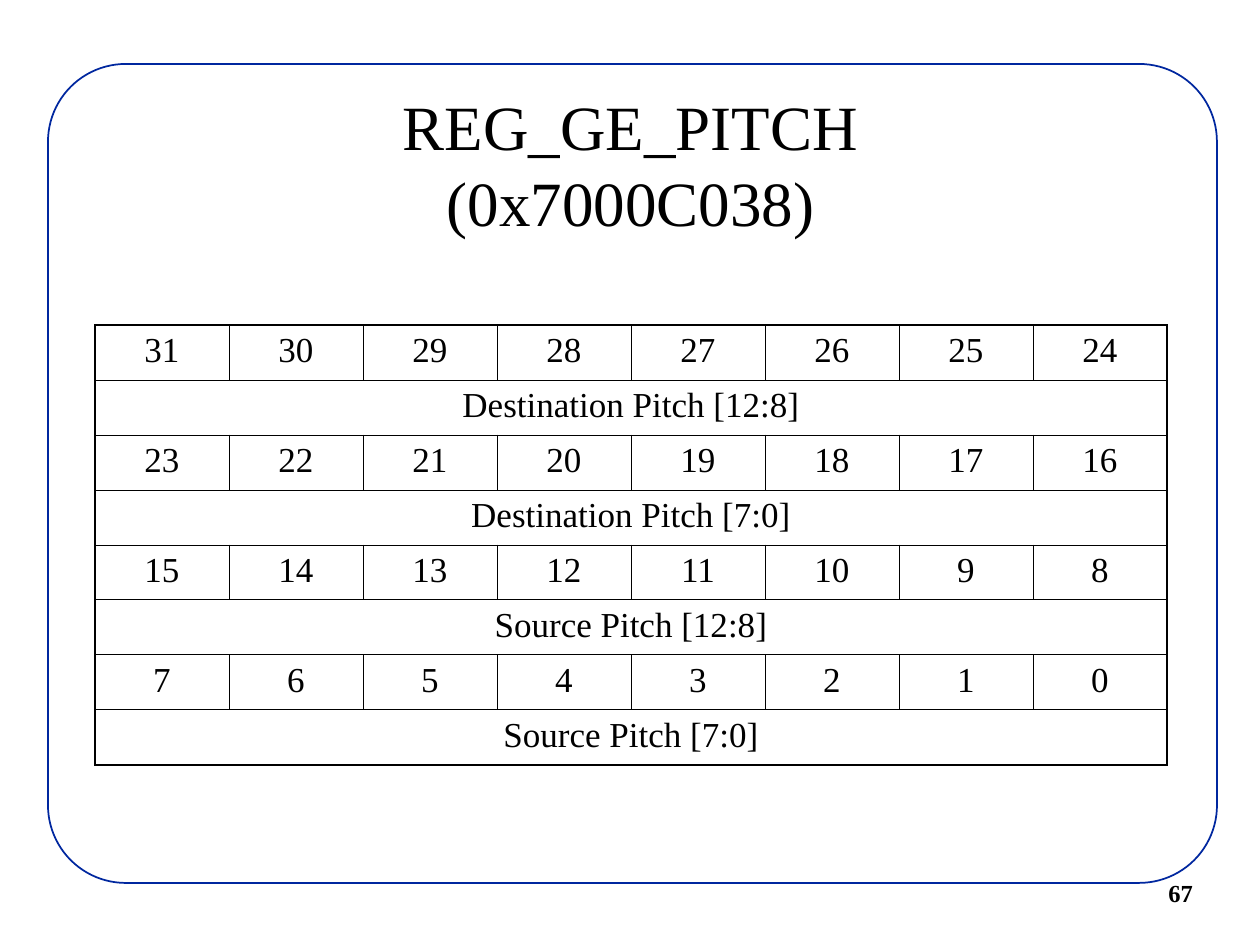
from lxml import etree
from pptx import Presentation
from pptx import util as u
from pptx.dml.color import RGBColor
from pptx.enum import shapes, text
from pptx.oxml.ns import qn

PX = 914400 / 126
FONT = "Times New Roman"
COLORS = {"paper": "FFFFFF", "frame": "00279F", "ink": "000000"}


def px(*lengths):
    return [u.Emu(round(length * PX)) for length in lengths]


def style(paragraph, size, align, bold=False):
    paragraph.alignment = align
    for run in paragraph.runs:
        run.font.name = FONT
        run.font.size = u.Pt(size)
        run.font.bold = bold
        run.font.color.rgb = RGBColor.from_string(COLORS["ink"])


prs = Presentation()
prs.slide_width, prs.slide_height = px(1260, 945)
slide = prs.slides.add_slide(prs.slide_layouts[6])

frame = slide.shapes.add_shape(shapes.MSO_SHAPE.ROUNDED_RECTANGLE, *px(48, 64, 1169, 819))
frame.adjustments[0] = 0.095
frame.shadow.inherit = False
frame.fill.solid()
frame.fill.fore_color.rgb = RGBColor.from_string(COLORS["paper"])
frame.line.color.rgb = RGBColor.from_string(COLORS["frame"])
frame.line.width = u.Pt(1)

page_number = slide.shapes.add_textbox(*px(1156, 872, 90, 42)).text_frame
page_number.word_wrap = True
page_number.text = "67"
style(page_number.paragraphs[0], 14, text.PP_ALIGN.LEFT, bold=True)

title = slide.shapes.add_textbox(*px(95, 84, 1071, 158)).text_frame
title.word_wrap = True
title.vertical_anchor = text.MSO_ANCHOR.MIDDLE
title.text = "REG_GE_PITCH\v(0x7000C038)"
style(title.paragraphs[0], 36, text.PP_ALIGN.CENTER)

fields = [
    "Destination Pitch [12:8]",
    "Destination Pitch [7:0]",
    "Source Pitch [12:8]",
    "Source Pitch [7:0]",
]
bits = 8
row_count = 2 * len(fields)
register = slide.shapes.add_table(row_count, bits, *px(95, 325, 134 * bits, 55 * row_count)).table
register.first_row = False
register.horz_banding = False

for index, field in enumerate(fields):
    high_bit = bits * (len(fields) - index) - 1
    for col in range(bits):
        register.cell(2 * index, col).text_frame.text = str(high_bit - col)
    label = register.cell(2 * index + 1, 0)
    label.merge(register.cell(2 * index + 1, bits - 1))
    label.text_frame.text = field

for row in range(row_count):
    for col in range(bits):
        cell = register.cell(row, col)
        cell.fill.background()
        style(cell.text_frame.paragraphs[0], 20, text.PP_ALIGN.CENTER)
        outer_edges = {
            "a:lnL": col == 0,
            "a:lnR": col == bits - 1 or cell.is_merge_origin,
            "a:lnT": row == 0,
            "a:lnB": row == row_count - 1,
        }
        properties = cell._tc.get_or_add_tcPr()
        for position, (edge, outer) in enumerate(outer_edges.items()):
            border = etree.Element(qn(edge), w=str(u.Pt(1.08 if outer else 0.45)))
            ink = etree.SubElement(border, qn("a:solidFill"))
            etree.SubElement(ink, qn("a:srgbClr"), val=COLORS["ink"])
            properties.insert(position, border)

prs.save("out.pptx")
